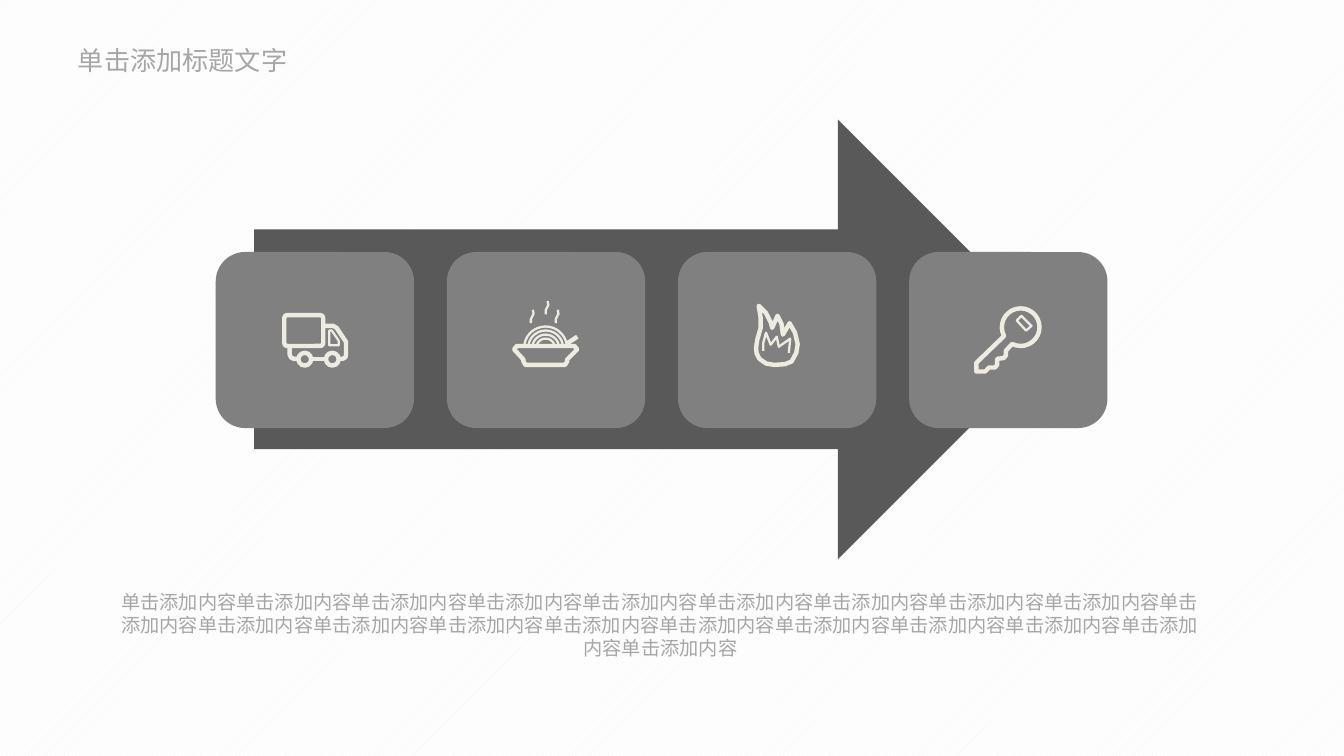
from math import asin, cos, degrees, radians, sin

from pptx import Presentation
from pptx.dml.color import RGBColor
from pptx.enum.dml import MSO_PATTERN
from pptx.enum.shapes import MSO_SHAPE
from pptx.enum.text import MSO_ANCHOR, PP_ALIGN
from pptx.util import Pt

PX = 4572  # 200 px to the inch
DIAGONAL = MSO_PATTERN.LIGHT_UPWARD_DIAGONAL
ARROW, CARD, OVAL = MSO_SHAPE.RIGHT_ARROW, MSO_SHAPE.ROUNDED_RECTANGLE, MSO_SHAPE.OVAL
CENTER, LEFT, TOP = PP_ALIGN.CENTER, PP_ALIGN.LEFT, MSO_ANCHOR.TOP
color = RGBColor.from_string
DARK, GRAY, CREAM, TEXT = "595959", "808080", "EEECE1", "A6A6A6"
BOLD, THIN = 6.5, 3.4  # icon strokes in px

presentation = Presentation()
presentation.slide_width = 2000 * PX
presentation.slide_height = 1125 * PX
slide = presentation.slides.add_slide(presentation.slide_layouts[5])

# Background
background = slide.background.fill
background.patterned()
background.pattern = DIAGONAL
background.fore_color.rgb = color("F2F2F2")
background.back_color.rgb = color("FFFFFF")


def add_shape(kind, left, top, width, height, fill=None):
    """Filled shape, or an icon outline when no fill is given."""
    shape = slide.shapes.add_shape(kind, left * PX, top * PX, width * PX, height * PX)
    shape.shadow.inherit = False
    if fill:
        shape.fill.solid()
        shape.fill.fore_color.rgb = color(fill)
        shape.line.fill.background()
    else:
        shape.fill.background()
        shape.line.color.rgb = color(CREAM)
        shape.line.width = round(BOLD * PX)
    return shape


def add_stroke(points, width, close=False):
    points = [(round(x * PX), round(y * PX)) for x, y in points]
    builder = slide.shapes.build_freeform(*points[0], scale=1.0)
    builder.add_line_segments(points[1:], close=close)
    shape = builder.convert_to_shape()
    shape.shadow.inherit = False
    shape.fill.background()
    shape.line.color.rgb = color(CREAM)
    shape.line.width = round(width * PX)


# Arrow and four cards
add_shape(ARROW, 378, 178, 1196, 654, DARK)
for index in range(4):
    add_shape(CARD, 321 + 344 * index, 375, 295, 262, GRAY)

# Truck
cargo = add_shape(CARD, 423, 469, 58, 46)
cargo.adjustments[0] = 0.1
for wheel_left in (444, 485):
    add_shape(OVAL, wheel_left, 525, 19, 19)
add_stroke([(431, 516), (431, 528), (433, 532), (437, 534), (444, 534)], BOLD)
add_stroke([(463, 534), (485, 534)], BOLD)
add_stroke([(504, 534), (510, 534), (514, 532), (515, 528), (515, 509),
            (501, 488), (496, 485), (482, 485)], BOLD)
add_stroke([(490, 492), (494, 492), (504, 507), (504, 514), (490, 514)], THIN, True)

# Noodle bowl
add_stroke([(769, 515), (855, 515), (859, 520), (844, 535), (844, 538), (841, 543),
            (782, 543), (779, 538), (779, 535), (765, 520)], BOLD, True)
add_stroke([(844, 511), (859, 501)], BOLD)
for radius in (32, 26, 20, 14):
    start = degrees(asin(6 / radius))
    angles = [radians(start + (180 - 2 * start) * step / 16) for step in range(17)]
    add_stroke([(812 + radius * cos(a), 518 - radius * sin(a)) for a in angles], THIN)
for dx, dy in ((0, 0), (37, 0), (22, -13)):
    steam = [(790, 481), (790, 475), (794, 467), (793, 461)]
    add_stroke([(x + dx, y + dy) for x, y in steam], THIN)

# Flame
add_stroke([(1129, 455), (1140, 466), (1147, 480), (1149, 488), (1157, 470), (1163, 482),
            (1165, 498), (1175, 481), (1183, 495), (1187, 512), (1185, 525), (1178, 538),
            (1168, 542), (1152, 543), (1140, 541), (1130, 534), (1126, 526), (1125, 518),
            (1127, 505), (1132, 488), (1132, 473)], BOLD, True)
add_stroke([(1136, 522), (1136, 510), (1140, 495), (1147, 513), (1156, 501),
            (1159, 516), (1176, 504), (1174, 525)], THIN)

# Key
head = [(1519 + 28 * cos(radians(a)), 487 + 28 * sin(radians(a)))
        for a in range(117, -209, -13)]
bit = [(1453, 540), (1453, 553), (1466, 553), (1472, 547), (1481, 547), (1484, 543),
       (1484, 534), (1494, 533), (1497, 529), (1497, 522)]
add_stroke(head + bit, BOLD, True)
add_stroke([(1513, 477), (1520, 470), (1535, 485), (1527, 492)], THIN, True)

# Description
description = slide.shapes.add_textbox(152 * PX, 868 * PX, 1662 * PX, 124 * PX)
description.text_frame.word_wrap = True
paragraph = description.text_frame.paragraphs[0]
paragraph.text = "单击添加内容" * 20
paragraph.alignment = CENTER
paragraph.font.name = "Calibri"
paragraph.font.size = Pt(10.3)
paragraph.font.color.rgb = color(TEXT)

# Title
title = slide.shapes.title
title.left, title.top, title.width, title.height = 102 * PX, 58 * PX, 344 * PX, 62 * PX
frame = title.text_frame
frame.word_wrap = False
frame.vertical_anchor = TOP
frame.margin_left = frame.margin_right = 14 * PX
frame.margin_top = frame.margin_bottom = 8 * PX
paragraph = frame.paragraphs[0]
paragraph.text = "单击添加标题文字"
paragraph.alignment = LEFT
paragraph.font.name = "Noto Sans CJK SC"
paragraph.font.size = Pt(14)
paragraph.font.color.rgb = color(TEXT)

presentation.save("out.pptx")
